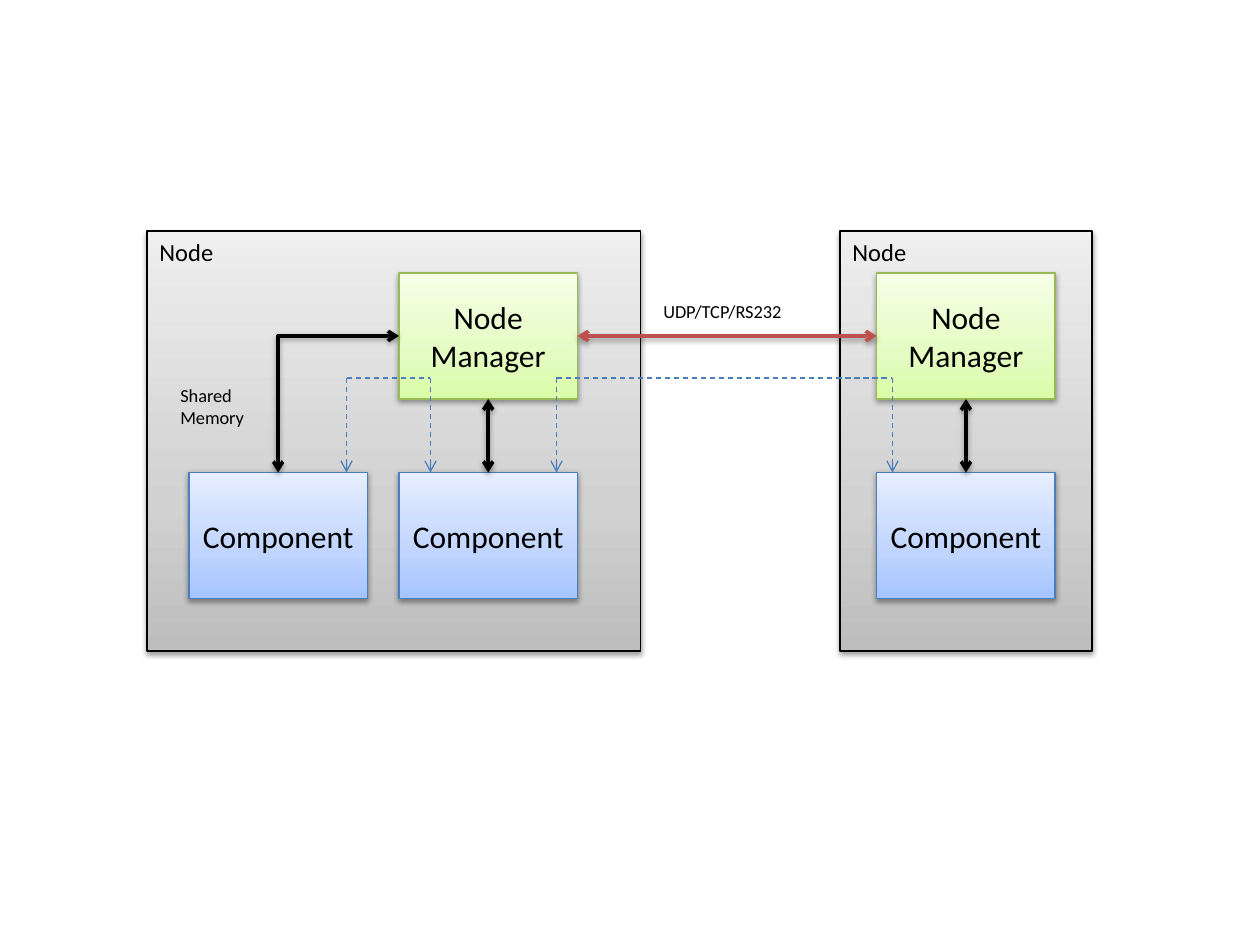
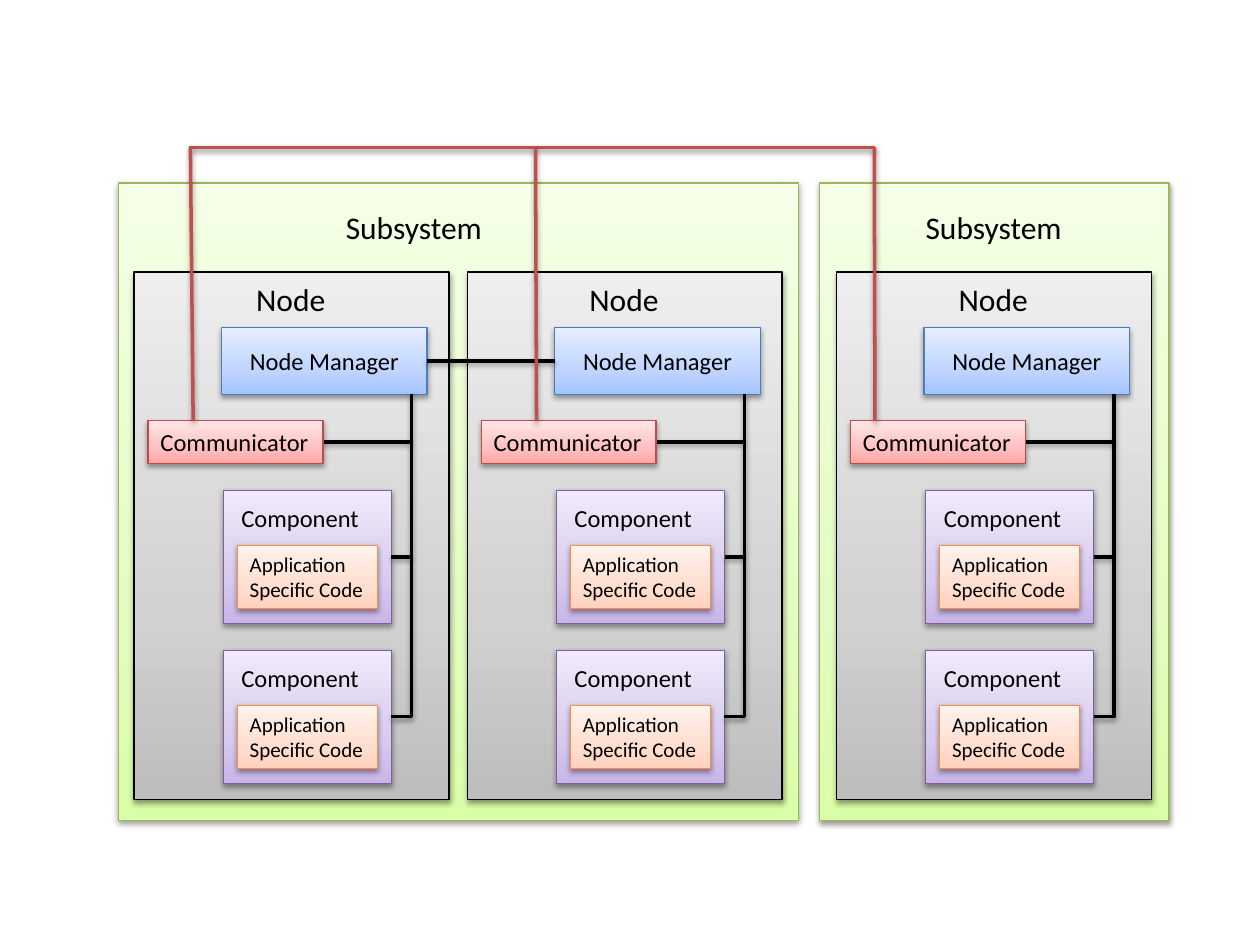
"""Build two block diagrams of nodes, managers and components."""
from copy import deepcopy
from dataclasses import dataclass

from lxml.etree import SubElement
from pptx import Presentation
from pptx.dml.color import RGBColor
from pptx.enum.dml import MSO_LINE
from pptx.enum.shapes import MSO_CONNECTOR as Connector, MSO_SHAPE as Preset
from pptx.enum.text import MSO_ANCHOR as Anchor, MSO_AUTO_SIZE as AutoSize, PP_ALIGN as Align
from pptx.oxml.ns import qn
from pptx.shapes.shapetree import GroupShapes, SlideShapes
from pptx.util import Pt

Shapes = SlideShapes | GroupShapes
FONT = "Calibri"
BLACK, RED, BLUE = "000000", "C0504D", "4B7EBC"


@dataclass(frozen=True)
class Box:
    left: float
    top: float
    width: float
    height: float

    def lengths(self) -> list[Pt]:
        return [Pt(value) for value in (self.left, self.top, self.width, self.height)]


@dataclass(frozen=True)
class Palette:
    dark: str
    middle: str
    light: str
    outline: str


@dataclass(frozen=True)
class Stroke:
    color: str
    width: float = 2
    dashed: bool = False
    head: bool = False
    tail: bool = False
    shadow: bool = True


@dataclass(frozen=True)
class TextStyle:
    size: float
    centered: bool = False
    wrap: bool = True


GRAY = Palette("BDBDBD", "D1D1D1", "EEEEEE", BLACK)
GREEN = Palette("DAFDA7", "E4FCC2", "F5FFE7", "98B955")
SKY = Palette("A4C4FF", "BFD4FF", "E6EEFF", BLUE)
PURPLE = Palette("C9B5E8", "D8CBEE", "F0EAF9", "7D60A0")
ORANGE = Palette("FFD2BD", "FFDED0", "FFF2ED", "F69240")
PINK = Palette("FFA6A5", "FFC0BF", "FFE7E7", "BF4C48")

BUS = Stroke(BLACK)
NETWORK = Stroke(RED)
SHARED_MEMORY = Stroke(BLACK, head=True, tail=True)
REMOTE_LINK = Stroke(RED, head=True, tail=True)
LOGICAL = Stroke(BLUE, 0.75, dashed=True, shadow=False)
LOGICAL_ARROW = Stroke(BLUE, 0.75, dashed=True, tail=True, shadow=False)

LARGE_CENTERED = TextStyle(18, centered=True)
MEDIUM_CENTERED = TextStyle(14, centered=True)
LARGE_LABEL = TextStyle(18, wrap=False)
MEDIUM_LABEL = TextStyle(14, wrap=False)
SMALL_LABEL = TextStyle(10.5, wrap=False)
COMPONENT_LABEL = TextStyle(14)
CODE_TEXT = TextStyle(12)


def rgb(color: str) -> RGBColor:
    return RGBColor.from_string(color)


def set_effects(shape, shadowed: bool) -> None:
    effects = SubElement(shape.element.spPr, qn("a:effectLst"))
    if shadowed:
        shadow = SubElement(effects, qn("a:outerShdw"), blurRad=str(Pt(3.15)),
                            dist=str(Pt(1.57)), dir="5400000", rotWithShape="0")
        color = SubElement(shadow, qn("a:srgbClr"), val=BLACK)
        SubElement(color, qn("a:alpha"), val="38000")


def write_text(shape, text: str, style: TextStyle) -> None:
    frame = shape.text_frame
    frame.text = text
    frame.word_wrap = style.wrap
    frame.auto_size = AutoSize.NONE if style.centered else AutoSize.SHAPE_TO_FIT_TEXT
    frame.vertical_anchor = Anchor.MIDDLE if style.centered else Anchor.TOP
    for paragraph in frame.paragraphs:
        paragraph.alignment = Align.CENTER if style.centered else Align.LEFT
        for run in paragraph.runs:
            run.font.name = FONT
            run.font.size = Pt(style.size)
            run.font.color.rgb = rgb(BLACK)


def add_block(shapes: Shapes, box: Box, palette: Palette, text: str = "",
              style: TextStyle = LARGE_CENTERED) -> None:
    shape = shapes.add_shape(Preset.RECTANGLE, *box.lengths())
    shape.fill.gradient()
    shape.fill.gradient_angle = 90
    stop_list = shape.element.spPr.find(".//" + qn("a:gsLst"))
    stop_list.append(deepcopy(stop_list[0]))
    colors = (palette.dark, palette.middle, palette.light)
    for stop, position, color in zip(shape.fill.gradient_stops, (0, 0.35, 1), colors):
        stop.position = position
        stop.color.rgb = rgb(color)
    shape.line.color.rgb = rgb(palette.outline)
    shape.line.width = Pt(0.75)
    set_effects(shape, True)
    if text:
        write_text(shape, text, style)


def add_label(shapes: Shapes, box: Box, text: str, style: TextStyle) -> None:
    write_text(shapes.add_textbox(*box.lengths()), text, style)


def add_line(shapes: Shapes, start: tuple[float, float], end: tuple[float, float],
             stroke: Stroke, bent: bool = False) -> None:
    kind = Connector.ELBOW if bent else Connector.STRAIGHT
    connector = shapes.add_connector(kind, *[Pt(value) for value in start + end])
    if bent:
        connector.element.spPr.find(qn("a:prstGeom")).set("prst", "bentConnector2")
    connector.line.color.rgb = rgb(stroke.color)
    connector.line.width = Pt(stroke.width)
    if stroke.dashed:
        connector.line.dash_style = MSO_LINE.DASH
    outline = connector.element.spPr.find(qn("a:ln"))
    for tag, shown in (("a:headEnd", stroke.head), ("a:tailEnd", stroke.tail)):
        if shown:
            SubElement(outline, qn(tag), type="arrow")
    set_effects(connector, stroke.shadow)


def draw_messaging(shapes: Shapes) -> None:
    node_top, manager_top, component_top = 132, 156, 270
    width, height = 102, 72
    manager_middle, manager_bottom = manager_top + height / 2, manager_top + height
    first, second, remote = 108, 228, 501
    node_lefts = (480, 84)
    for left, node_width in zip(node_lefts, (144, 282)):
        add_block(shapes, Box(left, node_top, node_width, 240), GRAY)
    for left in (second, remote):
        add_block(shapes, Box(left, manager_top, width, height), GREEN, "Node Manager")
    for left in (first, second, remote):
        add_block(shapes, Box(left, component_top, width, height), SKY, "Component")

    add_line(shapes, (second, manager_middle), (first + width / 2, component_top),
             SHARED_MEMORY, bent=True)
    for left in (second, remote):
        center = left + width / 2
        add_line(shapes, (center, component_top), (center, manager_bottom), SHARED_MEMORY)
    add_line(shapes, (second + width, manager_middle), (remote, manager_middle), REMOTE_LINK)
    add_label(shapes, Box(96, 216, 53, 34), "Shared \nMemory", SMALL_LABEL)
    add_label(shapes, Box(372, 168, 88, 21), "UDP/TCP/RS232", SMALL_LABEL)

    logical_top = 216
    for start, end in ((318, 510), (198, 246)):
        for x in (start, end):
            add_line(shapes, (x, logical_top), (x, component_top), LOGICAL_ARROW)
        add_line(shapes, (start, logical_top), (end, logical_top), LOGICAL)
    for left in node_lefts:
        add_label(shapes, Box(left, node_top, 45.5, 24.5), "Node", MEDIUM_LABEL)


def draw_component(shapes: Shapes, left: float, top: float) -> None:
    add_block(shapes, Box(left, top, 96, 76), PURPLE)
    add_label(shapes, Box(left + 3.2, top + 3.6, 82, 24.5), "Component", COMPONENT_LABEL)
    add_block(shapes, Box(left + 8, top + 31.5, 80, 36.2), ORANGE,
              "Application\nSpecific Code", CODE_TEXT)


def draw_node(shapes: Shapes, left: float) -> None:
    bus, component_left = left + 158.5, left + 51
    add_block(shapes, Box(left, 155.5, 180, 301.5), GRAY)
    add_block(shapes, Box(left + 50, 187.2, 117.5, 38.2), SKY, "Node Manager", MEDIUM_CENTERED)
    for top in (280.2, 371.6):
        draw_component(shapes, component_left, top)
    add_line(shapes, (component_left + 96, 409.6), (bus, 225.4), BUS, bent=True)
    for start, y in ((component_left + 96, 318.2), (left + 108, 252.5)):
        add_line(shapes, (start, y), (bus, y), BUS)
    add_label(shapes, Box(left + 62.7, 156.4, 54.5, 29), "Node", LARGE_LABEL)
    add_block(shapes, Box(left + 8, 240.4, 100, 24.3), PINK, "Communicator", MEDIUM_LABEL)


def draw_subsystem(shapes: Shapes, left: float, width: float, node_lefts: list[float],
                   label_left: float) -> None:
    add_block(shapes, Box(left, 104.5, width, 364.5), GREEN)
    for node_left in node_lefts:
        draw_node(shapes, node_left)
    for node_left, next_left in zip(node_lefts, node_lefts[1:]):
        add_line(shapes, (node_left + 167.5, 206.3), (next_left + 50, 206.3), BUS)
    add_label(shapes, Box(label_left, 115.2, 93, 29), "Subsystem", LARGE_LABEL)


def draw_architecture(shapes: Shapes) -> None:
    draw_subsystem(shapes.add_group_shape().shapes, 67.6, 388.6, [76.6, 267], 190.5)
    draw_subsystem(shapes.add_group_shape().shapes, 468.5, 199.5, [478, ], 521.8)
    network_top, communicator_top = 84.2, 240.6
    drops = ((108.8, 110.4), (499.6, 500), (306, 306.6))
    add_line(shapes, (108.2, network_top), (500, network_top), NETWORK)
    for top_x, bottom_x in drops:
        add_line(shapes, (top_x, network_top), (bottom_x, communicator_top), NETWORK)


def main() -> None:
    presentation = Presentation()
    presentation.slide_width, presentation.slide_height = Pt(720), Pt(540)
    blank = presentation.slide_layouts[6]
    for draw in (draw_messaging, draw_architecture):
        draw(presentation.slides.add_slide(blank).shapes)
    presentation.save("out.pptx")


main()
